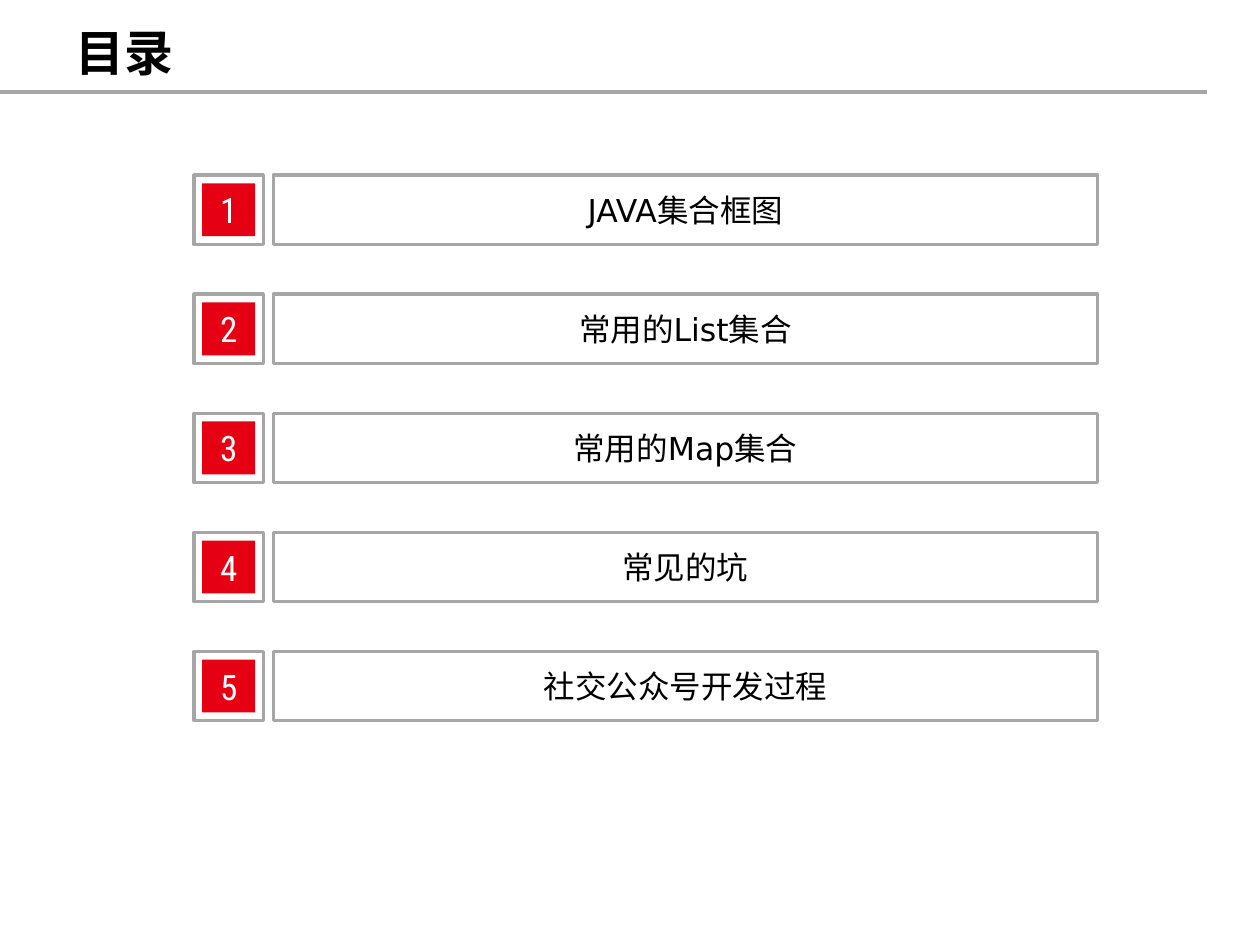
from dataclasses import dataclass

from lxml import etree
from pptx import Presentation
from pptx.dml.color import RGBColor
from pptx.enum.shapes import MSO_CONNECTOR, MSO_SHAPE
from pptx.enum.text import MSO_ANCHOR, PP_ALIGN
from pptx.oxml.ns import qn
from pptx.util import Inches, Pt

RECTANGLE = MSO_SHAPE.RECTANGLE
STRAIGHT = MSO_CONNECTOR.STRAIGHT
MIDDLE = MSO_ANCHOR.MIDDLE
LEFT, CENTER = PP_ALIGN.LEFT, PP_ALIGN.CENTER
TITLE_ONLY = 5


@dataclass(frozen=True)
class Theme:
    ink: RGBColor = RGBColor(0x00, 0x00, 0x00)
    paper: RGBColor = RGBColor(0xFF, 0xFF, 0xFF)
    accent: RGBColor = RGBColor(0xE6, 0x00, 0x13)
    border: RGBColor = RGBColor(0xA6, 0xA6, 0xA6)
    text_font: str = "DejaVu Sans"
    number_font: str = "Roboto Condensed"
    title_size: Pt = Pt(28)
    number_size: Pt = Pt(20)
    topic_size: Pt = Pt(18)
    rule_width: Pt = Pt(2.25)
    border_width: Pt = Pt(2)


THEME = Theme()
TOPICS = ["JAVA集合框图", "常用的List集合", "常用的Map集合", "常见的坑", "社交公众号开发过程"]


def write_text(shape, text, font_name, size, color, alignment=CENTER, bold=False):
    frame = shape.text_frame
    frame.word_wrap = True
    frame.vertical_anchor = MIDDLE
    paragraph = frame.paragraphs[0]
    paragraph.text = text
    paragraph.alignment = alignment
    font = paragraph.font
    font.name, font.size, font.bold = font_name, size, bold
    font.color.rgb = color


def add_box(shapes, left, top, width, height, fill=None):
    box = shapes.add_shape(RECTANGLE, left, top, width, height)
    box.shadow.inherit = False
    if fill is None:
        box.fill.background()
        box.line.color.rgb = THEME.border
        box.line.width = THEME.border_width
    else:
        box.fill.solid()
        box.fill.fore_color.rgb = fill
        box.line.fill.background()
    return box


def add_header(slide, left, top, width, height):
    title = slide.shapes.title
    title.left, title.top, title.width, title.height = left, top, width, height
    write_text(title, "目录", THEME.text_font, THEME.title_size, THEME.ink, LEFT, True)
    rule_top = top + height + Inches(0.05)
    rule = slide.shapes.add_connector(STRAIGHT, 0, rule_top, Inches(9.58), rule_top)
    rule.line.color.rgb = THEME.border
    rule.line.width = THEME.rule_width
    etree.SubElement(rule._element.spPr, qn("a:effectLst"))


def add_topic(slide, number, topic, left, top, width, height):
    shapes = slide.shapes.add_group_shape().shapes
    gap, inset = Inches(0.08), Inches(0.065)
    add_box(shapes, left, top, height, height)
    badge_size = height - 2 * inset
    badge = add_box(shapes, left + inset, top + inset, badge_size, badge_size, THEME.accent)
    write_text(badge, str(number), THEME.number_font, THEME.number_size, THEME.paper)
    offset = height + gap
    label = add_box(shapes, left + offset, top, width - offset, height)
    write_text(label, topic, THEME.text_font, THEME.topic_size, THEME.ink)


def add_contents(slide, left, top, width, height):
    row_height = Inches(0.55)
    pitch = (height - row_height) // (len(TOPICS) - 1)
    for index, topic in enumerate(TOPICS):
        add_topic(slide, index + 1, topic, left, top + index * pitch, width, row_height)


def main():
    presentation = Presentation()
    presentation.slide_width, presentation.slide_height = Inches(10), Inches(7.5)
    slide = presentation.slides.add_slide(presentation.slide_layouts[TITLE_ONLY])
    slide.background.fill.solid()
    slide.background.fill.fore_color.rgb = THEME.paper
    add_header(slide, Inches(0.5), Inches(0.14), Inches(7.49), Inches(0.54))
    add_contents(slide, Inches(1.54), Inches(1.39), Inches(7.17), Inches(4.33))
    presentation.save("out.pptx")


if __name__ == "__main__":
    main()
